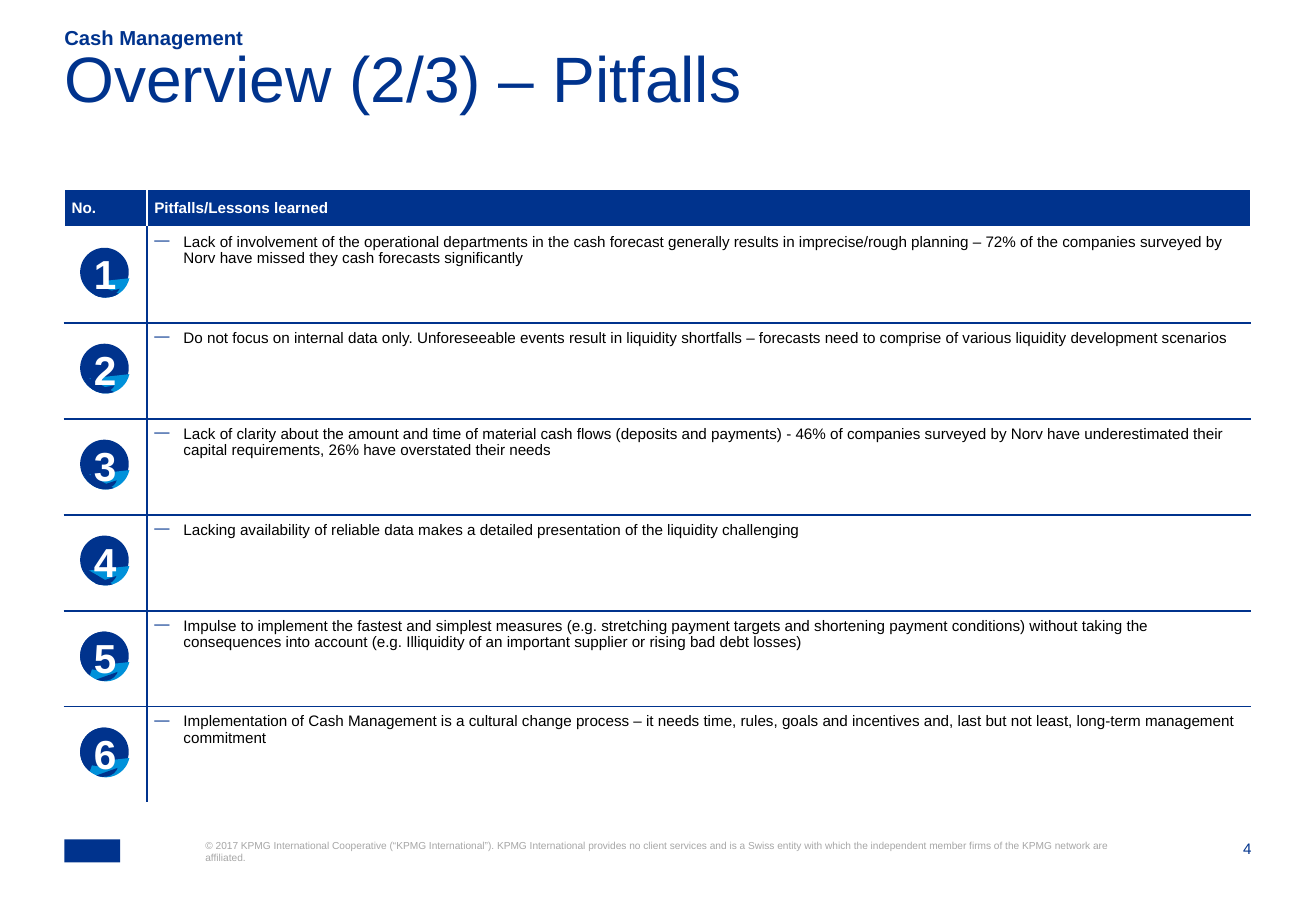
from math import cos, radians, sin

from lxml.etree import SubElement
from pptx import Presentation
from pptx.dml.color import RGBColor
from pptx.enum.shapes import MSO_SHAPE
from pptx.enum.text import MSO_ANCHOR, MSO_AUTO_SIZE, PP_ALIGN
from pptx.oxml.ns import qn
from pptx.util import Inches, Pt

SECTION = "Cash Management"
TITLE = "Overview (2/3) – Pitfalls"
HEADERS = ["No.", "Pitfalls/Lessons learned"]
PITFALLS = [
    "Lack of involvement of the operational departments in the cash forecast generally results in "
    "imprecise/rough planning – 72% of the companies surveyed by Norv have missed they cash forecasts "
    "significantly",
    "Do not focus on internal data only. Unforeseeable events result in liquidity shortfalls – forecasts "
    "need to comprise of various liquidity development scenarios",
    "Lack of clarity about the amount and time of material cash flows (deposits and payments) - 46% of "
    "companies surveyed by Norv have underestimated their capital requirements, 26% have overstated "
    "their needs",
    "Lacking availability of reliable data makes a detailed presentation of the liquidity challenging",
    "Impulse to implement the fastest and simplest measures (e.g. stretching payment targets and "
    "shortening payment conditions) without taking the consequences into account (e.g. Illiquidity of an "
    "important supplier or rising bad debt losses)",
    "Implementation of Cash Management is a cultural change process – it needs time, rules, goals and "
    "incentives and, last but not least, long-term management commitment",
]
COPYRIGHT = (
    "© 2017 KPMG International Cooperative (“KPMG International”). KPMG International provides no client "
    "services and is a Swiss entity with which the independent member firms of the KPMG network are "
    "affiliated."
)
PAGE_NUMBER = "4"

THEME = {
    "font": "Arial",
    "navy": "00338D", "blue": "0091DA", "white": "FFFFFF", "black": "000000", "grey": "A6A6A6",
    "title": 38, "section": 12, "body": 9, "footer": 6, "badge": 24,
}

LEFT, CONTENT_WIDTH = 0.53, 9.76
TABLE_TOP, HEADER_HEIGHT, ROW_HEIGHT = 1.56, 0.31, 0.79
COLUMN_WIDTHS = [0.68, 9.08]
BADGE_LEFT, BADGE_TOP, BADGE_SIZE = 0.66, 2.04, 0.4

# Navy parts that trim the light long shadow to each digit, relative to the badge corner.
# Chords are (left, top, width, height, start angle, end angle, rotation).
ARC = [(0.2 + 0.2 * cos(radians(a)), 0.2 + 0.2 * sin(radians(a))) for a in range(127, 275, 7)]
ROUND_EDGE = ARC + [(0.29, 0.1), (0.17, 0.1)]
ROUND_CORE = [(0.09, 0.05), (0.17, 0.19), (0.25, 0.2), (0.24, 0.33), (0.09, 0.31)]
ROUND_FOOT = (0.05, 0.13, 0.25, 0.29, 81.95, 168.3, 301.1)
SHADOW = (0.01, 0, 0.4, 0.41, 13.23, 154.41, 0)


def upper_edge(start):
    return (0.01, 0, 0.4, 0.41, start, 166.04, 0)


TRIMS = [
    [upper_edge(58.23), [(0.09, 0.05), (0.23, 0.05), (0.23, 0.34), (0.09, 0.34)],
     (0.04, 0.1, 0.31, 0.31, 77.05, 166.04, 315)],
    [upper_edge(70.86), [(0.09, 0.05), (0.27, 0.06), (0.17, 0.33), (0.09, 0.33)],
     (0.05, 0.13, 0.21, 0.29, 81.95, 166.04, 306.1)],
    [upper_edge(71), [(0.09, 0.05), (0.24, 0.06), (0.24, 0.32), (0.09, 0.33)],
     (0.06, 0.14, 0.21, 0.29, 81.95, 166.04, 298)],
    [upper_edge(73.73), [(0.09, 0.05), (0.24, 0.06), (0.22, 0.26), (0.09, 0.27)],
     (0.04, 0.13, 0.25, 0.29, 81.95, 168.3, 301.1)],
    [ROUND_EDGE, ROUND_CORE, ROUND_FOOT],
    [ROUND_EDGE, ROUND_CORE, ROUND_FOOT],
]


def color(name):
    return RGBColor.from_string(THEME[name])


def write(paragraph, text, size, color_name, bold=False):
    run = paragraph.add_run()
    run.text = text
    run.font.name = THEME["font"]
    run.font.size = Pt(THEME[size])
    run.font.bold = bold
    run.font.color.rgb = color(color_name)


def add_text(shapes, box, text, size, color_name, bold=False, align=PP_ALIGN.LEFT,
             anchor=MSO_ANCHOR.TOP, spacing=None):
    frame = shapes.add_textbox(*map(Inches, box)).text_frame
    frame.margin_left = frame.margin_right = frame.margin_top = frame.margin_bottom = 0
    frame.word_wrap = True
    frame.vertical_anchor = anchor
    paragraph = frame.paragraphs[0]
    paragraph.alignment = align
    paragraph.line_spacing = spacing
    write(paragraph, text, size, color_name, bold)
    return frame


def paint(shape, color_name):
    shape.shadow.inherit = False
    shape.fill.solid()
    shape.fill.fore_color.rgb = color(color_name)
    shape.line.fill.background()


def style_cell(cell, fill, borders):
    """Fill a cell and draw its left, right, top and bottom borders in the given colours."""
    properties = cell._tc.get_or_add_tcPr()
    for side, border in zip("LRTB", borders):
        line = SubElement(properties, qn("a:ln" + side), w=str(Pt(1)))
        SubElement(SubElement(line, qn("a:solidFill")), qn("a:srgbClr"), val=THEME[border])
    cell.fill.solid()
    cell.fill.fore_color.rgb = color(fill)
    cell.margin_left = cell.margin_right = cell.margin_top = cell.margin_bottom = Inches(0.06)


def add_dash_bullet(paragraph):
    properties = paragraph._p.get_or_add_pPr()
    properties.set("marL", str(Inches(0.24)))
    properties.set("indent", str(-Inches(0.24)))
    SubElement(SubElement(properties, qn("a:buClr")), qn("a:srgbClr"), val=THEME["navy"])
    SubElement(properties, qn("a:buChar"), char="—")


def add_pitfall_table(shapes):
    height = HEADER_HEIGHT + ROW_HEIGHT * len(PITFALLS)
    frame = shapes.add_table(len(PITFALLS) + 1, 2, Inches(LEFT), Inches(TABLE_TOP),
                             Inches(CONTENT_WIDTH), Inches(height))
    table = frame.table
    table.first_row = table.horz_banding = False
    for column, width in zip(table.columns, COLUMN_WIDTHS):
        column.width = Inches(width)
    for index, row in enumerate(table.rows):
        row.height = Inches(ROW_HEIGHT if index else HEADER_HEIGHT)

    for index, header in enumerate(HEADERS):
        cell = table.cell(0, index)
        style_cell(cell, "navy", ["white"] * 4)
        cell.vertical_anchor = MSO_ANCHOR.MIDDLE
        paragraph = cell.text_frame.paragraphs[0]
        paragraph.line_spacing = 0.95
        write(paragraph, header, "body", "white", bold=True)

    for number, pitfall in enumerate(PITFALLS, 1):
        top = "white" if number == 1 else "navy"
        bottom = "white" if number == len(PITFALLS) else "navy"
        style_cell(table.cell(number, 0), "white", ["white", "navy", top, bottom])
        cell = table.cell(number, 1)
        style_cell(cell, "white", ["navy", "white", top, bottom])
        paragraph = cell.text_frame.paragraphs[0]
        add_dash_bullet(paragraph)
        paragraph.line_spacing = 0.95
        paragraph.space_after = Pt(2 if number == 1 else 4)
        write(paragraph, pitfall, "body", "black")


def add_badge_part(shapes, part, top, color_name):
    """Add a chord (tuple) or a polygon (list of points) placed from the badge corner."""
    if isinstance(part, list):
        points = [(Inches(BADGE_LEFT + x), Inches(top + y)) for x, y in part]
        builder = shapes.build_freeform(*points[0])
        builder.add_line_segments(points[1:], close=True)
        shape = builder.convert_to_shape()
    else:
        x, y, width, height, start, end, rotation = part
        shape = shapes.add_shape(MSO_SHAPE.CHORD, Inches(BADGE_LEFT + x), Inches(top + y),
                                 Inches(width), Inches(height))
        shape.adjustments[0] = start * 0.6  # 60000 units per degree, stored per 100000
        shape.adjustments[1] = end * 0.6
        shape.rotation = rotation
    paint(shape, color_name)


def add_badge(slide, number, trims):
    shapes = slide.shapes.add_group_shape().shapes
    top = BADGE_TOP + ROW_HEIGHT * (number - 1)
    circle = shapes.add_shape(MSO_SHAPE.OVAL, Inches(BADGE_LEFT), Inches(top),
                              Inches(BADGE_SIZE), Inches(BADGE_SIZE))
    paint(circle, "navy")
    add_badge_part(shapes, SHADOW, top, "blue")
    for trim in trims:
        add_badge_part(shapes, trim, top, "navy")
    frame = add_text(shapes, (BADGE_LEFT + 0.01, top - 0.04, 0.39, 0.5), str(number), "badge",
                     "white", bold=True, align=PP_ALIGN.CENTER)
    frame.margin_top = frame.margin_bottom = Inches(0.05)
    frame.margin_left = frame.margin_right = Inches(0.1)
    frame.word_wrap = False
    frame.auto_size = MSO_AUTO_SIZE.SHAPE_TO_FIT_TEXT


def main():
    presentation = Presentation()
    presentation.slide_width, presentation.slide_height = Inches(10.83), Inches(7.5)
    slide = presentation.slides.add_slide(presentation.slide_layouts[6])
    shapes = slide.shapes
    add_text(shapes, (9.87, 6.91, 0.43, 0.16), PAGE_NUMBER, "body", "navy", align=PP_ALIGN.RIGHT)
    logo_block = shapes.add_shape(MSO_SHAPE.RECTANGLE, Inches(LEFT), Inches(6.91),
                                  Inches(0.46), Inches(0.19))
    paint(logo_block, "navy")
    add_text(shapes, (1.69, 6.91, 7.49, 0.41), COPYRIGHT, "footer", "grey")
    add_text(shapes, (LEFT, 0.22, 9.4, 0.19), SECTION, "section", "navy", bold=True,
             anchor=MSO_ANCHOR.BOTTOM)
    add_text(shapes, (LEFT, 0.49, CONTENT_WIDTH, 0.79), TITLE, "title", "navy", spacing=0.7)
    add_pitfall_table(shapes)
    for number, trims in enumerate(TRIMS, 1):
        add_badge(slide, number, trims)
    presentation.save("out.pptx")


if __name__ == "__main__":
    main()
